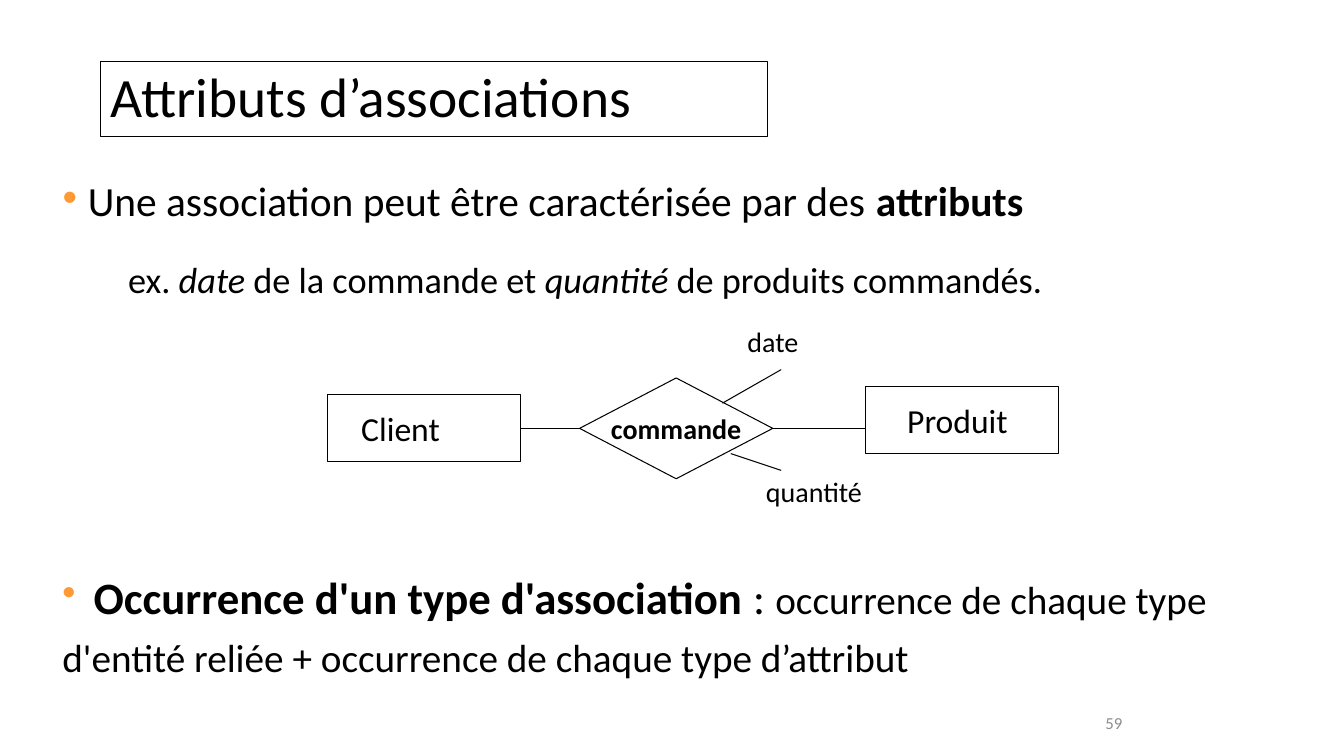
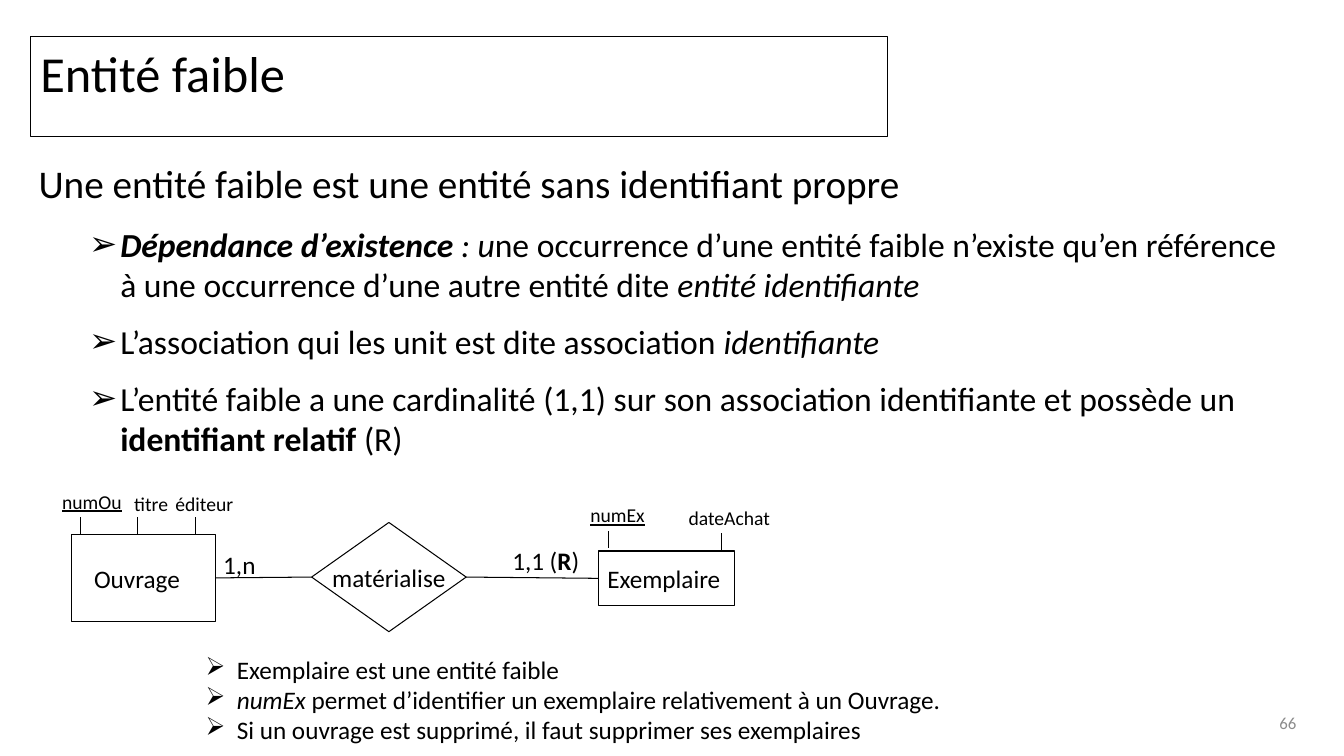
from lxml.etree import SubElement
from pptx import Presentation
from pptx.dml.color import RGBColor
from pptx.enum.shapes import MSO_CONNECTOR as Connector, MSO_SHAPE as Shape
from pptx.enum.text import MSO_ANCHOR as Anchor, MSO_AUTO_SIZE as AutoSize, PP_ALIGN as Align
from pptx.oxml.ns import qn
from pptx.util import Inches, Pt

COLUMNS, ROWS = 160, 90
SLIDE_WIDTH, SLIDE_HEIGHT = Inches(13.33), Inches(7.5)
FONT = "Calibri"
COLORS = {"ink": "000000", "bullet": "FF9933", "number": "8C8C8C"}
ARROW, DOT = "➢", "•"
RIGHT_SIDE, LEFT_SIDE = 3, 1


def color(name):
    return RGBColor.from_string(COLORS[name])


def x(columns):
    return round(SLIDE_WIDTH * columns / COLUMNS)


def y(rows):
    return round(SLIDE_HEIGHT * rows / ROWS)


def place(box):
    left, top, width, height = box
    return x(left), y(top), x(width), y(height)


def outline(part):
    part.line.color.rgb = color("ink")
    part.line.width = Pt(0.75)


def write(frame, content, size=18, ink="ink", align=Align.LEFT, level=0, marker=None,
          marker_ink="ink", indent=0, hanging=0, tab=None, before=0, spacing=1.0):
    last = frame.paragraphs[-1]
    paragraph = frame.add_paragraph() if last.runs else last
    paragraph.alignment = align
    paragraph.level = level
    paragraph.line_spacing = spacing
    paragraph.space_before = Pt(before)
    properties = paragraph._p.get_or_add_pPr()
    properties.set("marL", str(Inches(indent)))
    properties.set("indent", str(Inches(-hanging)))
    if marker:
        marker_color = SubElement(properties, qn("a:buClr"))
        SubElement(marker_color, qn("a:srgbClr"), val=COLORS[marker_ink])
        SubElement(properties, qn("a:buChar"), char=marker)
    else:
        SubElement(properties, qn("a:buNone"))
    if tab:
        tabs = SubElement(properties, qn("a:tabLst"))
        SubElement(tabs, qn("a:tab"), pos=str(Inches(tab)), algn="l")
    pieces = [(content, "")] if isinstance(content, str) else content
    for words, style, *own_size in pieces:
        run = paragraph.add_run()
        run.text = words
        run.font.name = FONT
        run.font.size = Pt(own_size[0] if own_size else size)
        run.font.bold = "b" in style
        run.font.italic = "i" in style
        run.font.underline = "u" in style
        run.font.color.rgb = color(ink)


def fill_placeholder(holder, box, anchor):
    holder.left, holder.top, holder.width, holder.height = place(box)
    frame = holder.text_frame
    frame.word_wrap = True
    frame.auto_size = AutoSize.NONE
    frame.vertical_anchor = anchor
    return frame


def title(slide, words, box, anchor=Anchor.TOP, **style):
    holder = slide.shapes.title
    write(fill_placeholder(holder, box, anchor), words, **style)
    outline(holder)


def body(slide, box):
    return fill_placeholder(slide.placeholders[1], box, Anchor.TOP)


def text_area(slide, box, wrap=False, anchor=Anchor.TOP):
    frame = slide.shapes.add_textbox(*place(box)).text_frame
    frame.word_wrap = wrap
    frame.vertical_anchor = anchor
    return frame


def label(slide, content, box, **style):
    write(text_area(slide, box), content, **style)


def page_number(slide, number, left):
    frame = text_area(slide, (left, 82, 7, 8), wrap=True, anchor=Anchor.MIDDLE)
    write(frame, number, size=12, ink="number", align=Align.RIGHT)


def node(slide, kind, content, box, inset=0, **style):
    shape = slide.shapes.add_shape(kind, *place(box))
    shape.shadow.inherit = False
    shape.fill.background()
    outline(shape)
    frame = shape.text_frame
    frame.vertical_anchor = Anchor.MIDDLE
    frame.margin_left, frame.margin_right = x(inset), 0
    frame.margin_top = frame.margin_bottom = 0
    frame.word_wrap = kind == Shape.RECTANGLE
    write(frame, content, **style)
    return shape


def entity(slide, name, box, inset, **style):
    return node(slide, Shape.RECTANGLE, name, box, inset, **style)


def association(slide, name, box, **style):
    return node(slide, Shape.DIAMOND, name, box, align=Align.CENTER, **style)


def segment(slide, start, end):
    line = slide.shapes.add_connector(
        Connector.STRAIGHT, x(start[0]), y(start[1]), x(end[0]), y(end[1]))
    outline(line)
    SubElement(line._element.spPr, qn("a:effectLst"))
    return line


def link(slide, source, target=None, end=(0, 0)):
    line = segment(slide, (0, 0), end)
    line.begin_connect(source, RIGHT_SIDE)
    if target is not None:
        line.end_connect(target, LEFT_SIDE)


def association_attributes(slide):
    title(slide, "Attributs d’associations", (12, 7.3, 79.4, 9), Anchor.MIDDLE,
          size=39.6, spacing=0.9)
    intro = body(slide, (6.25, 22.3, 132, 15.25))
    write(intro, [("Une association peut être caractérisée par des ", ""), ("attributs", "b")],
          size=29.6, marker=DOT, marker_ink="bullet", indent=0.25, hanging=0.25, spacing=0.6)
    write(intro, [("ex. ", ""), ("date", "i"), (" de la commande et ", ""),
                  ("quantité", "i"), (" de produits commandés.", "")],
          size=25.9, level=1, indent=0.9, hanging=0.25, before=36, spacing=0.6)

    client = entity(slide, "Client", (39, 47, 23, 8), 4, size=24)
    entity(slide, "Produit", (103, 46, 23, 8), 5, size=24)
    order = association(slide, [("commande", "b")], (69, 45, 23, 12), size=20)
    link(slide, client, order)
    link(slide, order, end=(103, 51))
    for name, box, start, end in (
            ("date", (87.8, 38, 8.5, 5.3), (86, 48), (93, 44)),
            ("quantité", (90, 55.9, 14, 5.3), (87, 54), (93, 56))):
        label(slide, name, box, size=20)
        segment(slide, start, end)

    definition = text_area(slide, (6.25, 66, 142.4, 15.2), wrap=True)
    write(definition, [("\t", "b"), ("Occurrence d'un type d'association", "b", 32),
                       (" : ", "", 32),
                       ("occurrence de chaque type d'entité reliée + "
                        "occurrence de chaque type d’attribut", "")],
          size=28, marker=DOT, marker_ink="bullet", tab=0.31, spacing=1.2)
    page_number(slide, "59", 127.8)


def weak_entity(slide):
    title(slide, "Entité faible", (3.6, 4.4, 102, 11.8), size=36)
    rules = body(slide, (3.4, 18.4, 152.2, 38.8))
    write(rules, "Une entité faible est une entité sans identifiant propre", size=28)
    for rule in (
            [("Dépendance d’existence ", "bi"), (": u", "i"),
             ("ne occurrence d’une entité faible n’existe qu’en référence "
              "à une occurrence d’une autre entité dite ", ""), ("entité identifiante", "i")],
            [("L’association qui les unit est dite association ", ""), ("identifiante", "i")],
            [("L’entité faible a une cardinalité (1,1) sur son association identifiante "
              "et possède un ", ""), ("identifiant relatif", "b"), (" (R)", "")]):
        write(rules, rule, size=24, level=1, marker=ARROW, indent=0.81, hanging=0.31, before=12)

    book = entity(slide, "Ouvrage", (8.5, 63.6, 17.2, 10.4), 2.7)
    item = entity(slide, "Exemplaire", (71.2, 65.6, 16.2, 6.5), 1.1)
    embodies = association(slide, "matérialise", (37.1, 62.2, 18.4, 13))
    link(slide, book, embodies)
    link(slide, embodies, item)
    for name, style, left, top, width, tick, tick_top in (
            ("numOu", "u", 6.2, 57.7, 9.6, 9.6, 61.6),
            ("titre", "", 14.8, 58, 6.5, 16.4, 61.6),
            ("éditeur", "", 19.7, 58, 9.4, 23.3, 61.6),
            ("numEx", "u", 69.1, 59.3, 9.1, 72.5, 63.2),
            ("dateAchat", "", 80.8, 59.6, 12.2, 85.9, 63.5)):
        label(slide, [(name, style)], (left, top, width, 4.1), size=14)
        segment(slide, (tick, tick_top + 2), (tick, tick_top))
    label(slide, "1,n", (25.4, 64.8, 6.4, 4.8))
    label(slide, [("1,1 (", ""), ("R", "b"), (")", "")], (59.8, 64.3, 10.6, 4.8))

    remarks = text_area(slide, (23.3, 77.3, 93.2, 12.1))
    for remark in (
            "Exemplaire est une entité faible",
            [("numEx", "i"),
             (" permet d’identifier un exemplaire relativement à un Ouvrage.", "")],
            "Si un ouvrage est supprimé, il faut supprimer ses exemplaires"):
        write(remarks, remark, marker=ARROW, indent=0.31, hanging=0.31)
    page_number(slide, "66", 148.5)


def main():
    deck = Presentation()
    deck.slide_width, deck.slide_height = SLIDE_WIDTH, SLIDE_HEIGHT
    title_and_body = deck.slide_layouts[1]
    for build in (association_attributes, weak_entity):
        build(deck.slides.add_slide(title_and_body))
    deck.save("out.pptx")


if __name__ == "__main__":
    main()
